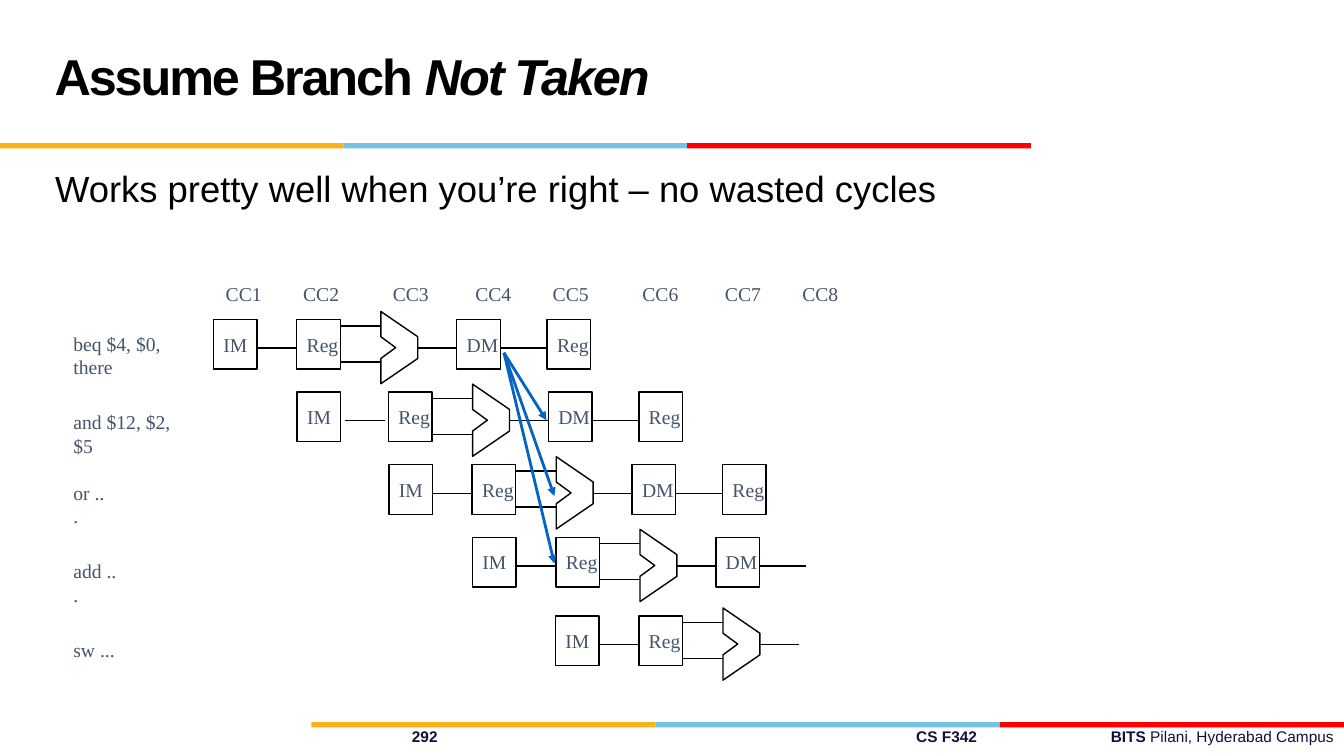
from dataclasses import dataclass

from lxml.etree import SubElement
from pptx import Presentation
from pptx.dml.color import RGBColor
from pptx.enum.shapes import MSO_CONNECTOR, MSO_SHAPE
from pptx.enum.text import MSO_ANCHOR, MSO_AUTO_SIZE, PP_ALIGN
from pptx.oxml.ns import qn
from pptx.util import Cm, Pt


@dataclass(frozen=True)
class Theme:
    black: str = "000000"
    slate: str = "44546A"
    navy: str = "101141"
    arrow: str = "0563C1"
    stripes: tuple = ("FCB017", "76C2E5", "FF0000")
    sans: str = "Arial"
    serif: str = "Times New Roman"
    title_size: int = 36
    body_size: int = 26
    diagram_size: int = 14
    footer_size: int = 11


@dataclass(frozen=True)
class Box:
    left: float
    top: float
    width: float
    height: float

    def inner(self, left, top, width, height):
        return Box(self.left + left, self.top + top, width, height)

    def lengths(self):
        return Cm(self.left), Cm(self.top), Cm(self.width), Cm(self.height)


@dataclass(frozen=True)
class Instruction:
    text: str
    text_top: float
    text_width: float
    left: float
    top: float
    stage_count: int
    slack: float = 0


THEME = Theme()
STAGES = (("IM", 0), ("Reg", 2.1), ("ALU", 4.22), ("DM", 6.13), ("Reg", 8.41))
UNIT_WIDTH, UNIT_HEIGHT = 1.1, 1.25
ALU_WIDTH, ALU_HEIGHT, ALU_RISE = 0.93, 1.82, 0.2
WIRE_LEVEL = 0.72
OPERAND_LEVELS = (0.16, 1.07)
INSTRUCTIONS = (
    Instruction("beq $4, $0, there", 1.24, 3.81, 3.78, 1.06, 5),
    Instruction("and $12, $2, $5", 3.22, 3.56, 5.89, 2.89, 5, 0.2),
    Instruction("or ...", 5, 1.38, 8.2, 4.72, 5),
    Instruction("add ...", 6.98, 1.66, 10.31, 6.55, 4),
    Instruction("sw ...", 8.96, 1.6, 12.4, 8.53, 3),
)
BRANCH_SOURCE = (11.1, 1.9)
BRANCH_TARGETS = ((12.17, 3.6), (12.37, 5.51), (12.37, 7.21))


def add_run(paragraph, text, size, color, family, bold=False, italic=False):
    run = paragraph.add_run()
    run.text = text
    run.font.name = family
    run.font.size = Pt(size)
    run.font.bold = bold
    run.font.italic = italic
    run.font.color.rgb = RGBColor.from_string(color)
    return run


def add_text_box(slide, box, align=PP_ALIGN.LEFT):
    frame = slide.shapes.add_textbox(*box.lengths()).text_frame
    frame.word_wrap = True
    frame.paragraphs[0].alignment = align
    return frame.paragraphs[0]


def add_diagram_text(paragraph, text):
    add_run(paragraph, text, THEME.diagram_size, THEME.slate, THEME.serif)


def outline(shape):
    shape.shadow.inherit = False
    shape.fill.background()
    shape.line.color.rgb = RGBColor.from_string(THEME.black)
    shape.line.width = Pt(1)


def add_line(slide, start, end, color=THEME.black, width=1, arrow=False):
    connector = slide.shapes.add_connector(
        MSO_CONNECTOR.STRAIGHT, *(Cm(value) for value in (*start, *end))
    )
    connector.line.color.rgb = RGBColor.from_string(color)
    connector.line.width = Pt(width)
    if arrow:
        SubElement(connector.line._get_or_add_ln(), qn("a:tailEnd"), type="triangle")
    SubElement(connector._element.spPr, qn("a:effectLst"))


def add_title(slide, box):
    title = slide.shapes.title
    title.left, title.top, title.width, title.height = box.lengths()
    frame = title.text_frame
    frame.word_wrap = True
    frame.auto_size = MSO_AUTO_SIZE.NONE
    frame.vertical_anchor = MSO_ANCHOR.MIDDLE
    paragraph = frame.paragraphs[0]
    paragraph.alignment = PP_ALIGN.LEFT
    paragraph.line_spacing = Pt(36)
    for text, italic in (("Assume Branch ", False), ("Not Taken", True)):
        run = add_run(paragraph, text, THEME.title_size, THEME.black, THEME.sans, True, italic)
        run.font._element.set("spc", "-150")


def add_stripes(slide, box):
    width = box.width / len(THEME.stripes)
    for index, color in enumerate(THEME.stripes):
        stripe_box = box.inner(index * width, 0, width, box.height)
        stripe = slide.shapes.add_shape(MSO_SHAPE.RECTANGLE, *stripe_box.lengths())
        stripe.shadow.inherit = False
        stripe.fill.solid()
        stripe.fill.fore_color.rgb = RGBColor.from_string(color)
        stripe.line.fill.background()


def add_statement(slide, box):
    paragraph = add_text_box(slide, box)
    paragraph.line_spacing = 0.9
    text = "Works pretty well when you’re right – no wasted cycles"
    add_run(paragraph, text, THEME.body_size, THEME.black, THEME.sans)


def add_unit(slide, box, name):
    unit = slide.shapes.add_shape(MSO_SHAPE.RECTANGLE, *box.lengths())
    outline(unit)
    frame = unit.text_frame
    frame.word_wrap = True
    frame.margin_right = 0
    frame.vertical_anchor = MSO_ANCHOR.MIDDLE
    frame.paragraphs[0].alignment = PP_ALIGN.LEFT
    add_diagram_text(frame.paragraphs[0], name)


def add_alu(slide, box):
    corners = ((0, 0), (1, 0.35), (1, 0.65), (0, 1), (0, 0.65), (0.4, 0.5), (0, 0.35))
    points = [
        (Cm(box.left + x * box.width), Cm(box.top + y * box.height)) for x, y in corners
    ]
    builder = slide.shapes.build_freeform(*points[0])
    builder.add_line_segments(points[1:], close=True)
    outline(builder.convert_to_shape())


def add_pipeline(slide, box, instruction):
    offsets = [offset + (instruction.slack / 2.54 * 2.54 if offset else 0) for _, offset in STAGES]
    for index, (name, _) in enumerate(STAGES[:instruction.stage_count]):
        left = offsets[index]
        width = ALU_WIDTH if name == "ALU" else UNIT_WIDTH
        if name == "ALU":
            add_alu(slide, box.inner(left, -ALU_RISE, width, ALU_HEIGHT))
        else:
            add_unit(slide, box.inner(left, 0, width, UNIT_HEIGHT), name)
        if index + 1 == len(STAGES):
            continue
        gap = 0 if index else instruction.slack / 2
        start = box.left + left + width + gap
        end = box.left + offsets[index + 1] - gap
        levels = OPERAND_LEVELS if name == "Reg" else (WIRE_LEVEL,)
        for level in levels:
            add_line(slide, (start, box.top + level), (end, box.top + level))


def add_diagram(slide, box):
    for cycle in range(8):
        group, position = divmod(cycle, 3)
        left = 3.84 + group * 6.29 + (0, 1.95, 4.21)[position]
        paragraph = add_text_box(slide, box.inner(left, 0, 1.55, 0.84))
        add_diagram_text(paragraph, f"CC{cycle + 1}")
    for instruction in INSTRUCTIONS:
        label_box = box.inner(0, instruction.text_top, instruction.text_width, 0.84)
        add_diagram_text(add_text_box(slide, label_box), instruction.text)
        row = box.inner(instruction.left, instruction.top, 9.5, UNIT_HEIGHT)
        add_pipeline(slide, row, instruction)
    start = (box.left + BRANCH_SOURCE[0], box.top + BRANCH_SOURCE[1])
    for x, y in BRANCH_TARGETS:
        add_line(slide, start, (box.left + x, box.top + y), THEME.arrow, 2, True)


def add_footer(slide, box):
    items = (
        (10.13, 2, PP_ALIGN.LEFT, (("292", True),)),
        (22.84, 3, PP_ALIGN.LEFT, (("CS F342", True),)),
        (25.87, 8, PP_ALIGN.RIGHT, (("BITS ", True), ("Pilani, Hyderabad Campus", False))),
    )
    for left, width, align, runs in items:
        paragraph = add_text_box(slide, box.inner(left, 0, width, box.height), align)
        for text, bold in runs:
            add_run(paragraph, text, THEME.footer_size, THEME.navy, THEME.sans, bold)


def main():
    presentation = Presentation()
    presentation.slide_width, presentation.slide_height = Cm(33.87), Cm(19.05)
    slide = presentation.slides.add_slide(presentation.slide_layouts[5])
    add_footer(slide, Box(0, 18.19, 33.87, 0.74))
    add_stripes(slide, Box(7.85, 18.2, 26.02, 0.13))
    add_stripes(slide, Box(0, 3.61, 25.98, 0.13))
    add_title(slide, Box(1.12, 0.43, 23.42, 3.18))
    add_diagram(slide, Box(1.6, 6.99, 20, 10.2))
    add_statement(slide, Box(1.14, 4.19, 28.47, 2.34))
    presentation.save("out.pptx")


if __name__ == "__main__":
    main()
